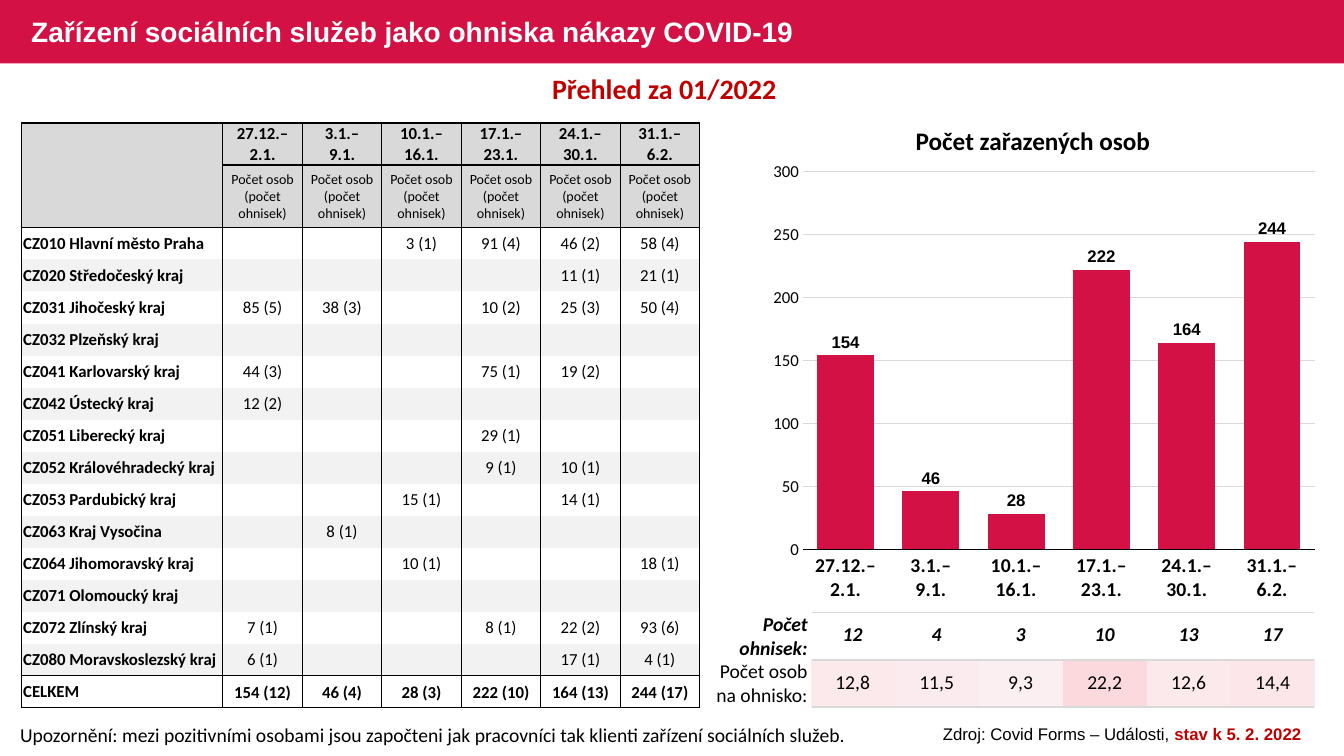
from lxml import etree
from pptx import Presentation
from pptx.chart.data import CategoryChartData
from pptx.dml.color import RGBColor
from pptx.enum.chart import XL_CHART_TYPE, XL_LABEL_POSITION, XL_TICK_MARK
from pptx.enum.shapes import MSO_SHAPE
from pptx.enum.text import MSO_ANCHOR, MSO_AUTO_SIZE, PP_ALIGN
from pptx.oxml import parse_xml
from pptx.oxml.ns import nsdecls, qn
from pptx.util import Inches, Pt

CRIMSON = RGBColor(0xD3, 0x11, 0x45)
DARK_RED = RGBColor(0xC0, 0x00, 0x00)
BLACK = RGBColor(0x00, 0x00, 0x00)
WHITE = RGBColor(0xFF, 0xFF, 0xFF)
HEADER_GRAY = RGBColor(0xD9, 0xD9, 0xD9)
BAND_GRAY = RGBColor(0xF2, 0xF2, 0xF2)
PINKS = [RGBColor.from_string(code) for code in
         ("FCE9EC", "FCEBEE", "FCEFF2", "FCD9DC", "FCE9EC", "FCE6E9")]

NO_STYLE = "{2D5ABB26-0587-4C30-8999-92F81FD0307C}"
SLIDE_WIDTH = 13.33
WEEKS = ["27.12.–\n2.1.", "3.1.–\n9.1.", "10.1.–\n16.1.",
         "17.1.–\n23.1.", "24.1.–\n30.1.", "31.1.–\n6.2."]
PERSONS = [154, 46, 28, 222, 164, 244]
OUTBREAKS = [12, 4, 3, 10, 13, 17]
PERSONS_PER_OUTBREAK = ["12,8", "11,5", "9,3", "22,2", "12,6", "14,4"]
REGIONS = [
    ("CZ010 Hlavní město Praha", "", "", "3 (1)", "91 (4)", "46 (2)", "58 (4)"),
    ("CZ020 Středočeský kraj", "", "", "", "", "11 (1)", "21 (1)"),
    ("CZ031 Jihočeský kraj", "85 (5)", "38 (3)", "", "10 (2)", "25 (3)", "50 (4)"),
    ("CZ032 Plzeňský kraj", "", "", "", "", "", ""),
    ("CZ041 Karlovarský kraj", "44 (3)", "", "", "75 (1)", "19 (2)", ""),
    ("CZ042 Ústecký kraj", "12 (2)", "", "", "", "", ""),
    ("CZ051 Liberecký kraj", "", "", "", "29 (1)", "", ""),
    ("CZ052 Královéhradecký kraj", "", "", "", "9 (1)", "10 (1)", ""),
    ("CZ053 Pardubický kraj", "", "", "15 (1)", "", "14 (1)", ""),
    ("CZ063 Kraj Vysočina", "", "8 (1)", "", "", "", ""),
    ("CZ064 Jihomoravský kraj", "", "", "10 (1)", "", "", "18 (1)"),
    ("CZ071 Olomoucký kraj", "", "", "", "", "", ""),
    ("CZ072 Zlínský kraj", "7 (1)", "", "", "8 (1)", "22 (2)", "93 (6)"),
    ("CZ080 Moravskoslezský kraj", "6 (1)", "", "", "", "17 (1)", "4 (1)"),
]


def style_font(font, size, color=BLACK, bold=False, italic=False, name="Calibri"):
    font.size, font.name = Pt(size), name
    font.bold, font.italic = bold, italic
    font.color.rgb = color


def add_runs(paragraph, text, size, **style):
    """Write text into the paragraph, one run for each line."""
    for index, line in enumerate(text.split("\n")):
        if index:
            paragraph.add_line_break()
        run = paragraph.add_run()
        run.text = line
        style_font(run.font, size, **style)


def add_text(slide, box, pieces, align=PP_ALIGN.LEFT):
    """Add a text box; each piece is (text, size, style)."""
    frame = slide.shapes.add_textbox(*map(Inches, box)).text_frame
    frame.word_wrap = True
    frame.auto_size = MSO_AUTO_SIZE.SHAPE_TO_FIT_TEXT
    paragraph = frame.paragraphs[0]
    paragraph.alignment = align
    for text, size, style in pieces:
        add_runs(paragraph, text, size, **style)


def add_plain_table(slide, box, column_widths, row_heights):
    frame = slide.shapes.add_table(len(row_heights), len(column_widths),
                                   *map(Inches, box))
    table = frame.table
    table.first_row = table.horz_banding = False
    table._tbl.tblPr.find(qn("a:tableStyleId")).text = NO_STYLE
    for column, width in zip(table.columns, column_widths):
        column.width = Inches(width)
    for row, height in zip(table.rows, row_heights):
        row.height = Inches(height)
    return table


def fill_cell(cell, text, size, align=PP_ALIGN.CENTER, fill=None, borders=None,
              margins=(0.01, 0.01, 0.01, 0), **style):
    """Write and format a cell; borders maps L, R, T, B to (colour, points)."""
    (cell.margin_left, cell.margin_top,
     cell.margin_right, cell.margin_bottom) = map(Inches, margins)
    cell.vertical_anchor = MSO_ANCHOR.MIDDLE
    paragraph = cell.text_frame.paragraphs[0]
    paragraph.alignment = align
    add_runs(paragraph, text, size, **style)
    if fill is None:
        cell.fill.background()
    else:
        cell.fill.solid()
        cell.fill.fore_color.rgb = fill
    for index, side in enumerate("LRTB"):
        color, points = (borders or {}).get(side, (None, 0))
        paint = (f'<a:solidFill><a:srgbClr val="{color}"/></a:solidFill>'
                 if points else "<a:noFill/>")
        cell._tc.tcPr.insert(index, parse_xml(
            f'<a:ln{side} {nsdecls("a")} w="{Pt(points)}">{paint}</a:ln{side}>'))


def add_title_band(slide, height):
    band = slide.shapes.add_shape(MSO_SHAPE.RECTANGLE, 0, 0,
                                  Inches(SLIDE_WIDTH), Inches(height))
    band.shadow.inherit = False
    band.fill.solid()
    band.fill.fore_color.rgb = CRIMSON
    band.line.fill.background()
    title = slide.shapes.title
    title.element.addprevious(band.element)
    title.left, title.top = Inches(0.21), Inches(0.02)
    title.width, title.height = Inches(8.13), Inches(height)
    frame = title.text_frame
    frame.auto_size = MSO_AUTO_SIZE.NONE
    frame.vertical_anchor = MSO_ANCHOR.MIDDLE
    paragraph = frame.paragraphs[0]
    paragraph.alignment = PP_ALIGN.LEFT
    paragraph.line_spacing = 0.9
    add_runs(paragraph, "Zařízení sociálních služeb jako ohniska nákazy COVID-19",
             20, color=WHITE, bold=True, name="Arial")


def add_region_table(slide, box):
    width, height = box[2:]
    header_heights = [0.41, 0.62]
    body_rows = len(REGIONS) + 1
    body_height = (height - sum(header_heights)) / body_rows
    table = add_plain_table(
        slide, box, [2] + [(width - 2) / len(WEEKS)] * len(WEEKS),
        header_heights + [body_height] * body_rows)
    line, thin = (BLACK, 1), (BLACK, 0.5)
    sides = {"L": line, "R": line}
    table.cell(0, 0).merge(table.cell(1, 0))
    fill_cell(table.cell(0, 0), "", 12, fill=HEADER_GRAY,
              borders={**sides, "T": line, "B": thin})
    for column, week in enumerate(WEEKS, 1):
        fill_cell(table.cell(0, column), week, 12, bold=True, fill=HEADER_GRAY,
                  borders={**sides, "T": line, "B": line})
        fill_cell(table.cell(1, column), "Počet osob (počet ohnisek)", 10,
                  fill=HEADER_GRAY, borders={**sides, "T": line, "B": thin})
    totals = [f"{persons} ({outbreaks})"
              for persons, outbreaks in zip(PERSONS, OUTBREAKS)]
    for index, values in enumerate(REGIONS + [("CELKEM", *totals)]):
        is_total = index == len(REGIONS)
        borders = dict(sides)
        if index == 0:
            borders["T"] = thin
        if is_total:
            borders["T"] = line
        if index >= len(REGIONS) - 1:
            borders["B"] = line
        for column, value in enumerate(values):
            label = {"align": PP_ALIGN.LEFT, "margins": (0.02, 0, 0.02, 0)}
            fill_cell(table.cell(index + 2, column), value, 12,
                      bold=is_total or column == 0,
                      fill=BAND_GRAY if index % 2 else None, borders=borders,
                      **(label if column == 0 else {}))


def add_persons_chart(slide, box):
    data = CategoryChartData()
    data.categories = WEEKS
    data.add_series("Series 1", PERSONS)
    chart = slide.shapes.add_chart(XL_CHART_TYPE.COLUMN_CLUSTERED,
                                   *map(Inches, box), data).chart
    chart.has_legend = chart.has_title = False
    style_font(chart.font, 14, bold=True, name="Arial")
    plot = chart.plots[0]
    plot.gap_width, plot.vary_by_categories = 50, False
    series = plot.series[0]
    series.format.fill.solid()
    series.format.fill.fore_color.rgb = CRIMSON
    labels = series.data_labels
    labels.show_value = True
    labels.position = XL_LABEL_POSITION.OUTSIDE_END
    style_font(labels.font, 12, bold=True, name="Arial")

    weeks, persons = chart.category_axis, chart.value_axis
    weeks.major_tick_mark = persons.major_tick_mark = XL_TICK_MARK.NONE
    style_font(weeks.tick_labels.font, 14, bold=True)
    weeks.format.line.color.rgb = BLACK
    weeks.format.line.width = Pt(0.75)
    style_font(persons.tick_labels.font, 12)
    persons.minimum_scale, persons.maximum_scale, persons.major_unit = 0, 300, 50
    persons.format.line.fill.background()
    persons.major_gridlines.format.line.color.rgb = HEADER_GRAY
    persons.major_gridlines.format.line.width = Pt(0.75)

    plot_area = chart._chartSpace.chart.plotArea
    for old_layout in plot_area.findall(qn("c:layout")):
        plot_area.remove(old_layout)
    layout = etree.Element(qn("c:layout"))
    manual = etree.SubElement(layout, qn("c:manualLayout"))
    for tag, value in (("layoutTarget", "inner"), ("xMode", "edge"),
                       ("yMode", "edge"), ("x", "0.072"), ("y", "0.042"),
                       ("w", "0.905"), ("h", "0.824")):
        etree.SubElement(manual, qn(f"c:{tag}")).set("val", value)
    plot_area.insert(0, layout)


def add_weekly_values(slide, box):
    width, height = box[2:]
    table = add_plain_table(slide, box, [width / len(WEEKS)] * len(WEEKS),
                            [height / 2] * 2)
    for column, outbreaks in enumerate(OUTBREAKS):
        fill_cell(table.cell(0, column), str(outbreaks), 14, bold=True, italic=True)
        fill_cell(table.cell(1, column), PERSONS_PER_OUTBREAK[column], 14,
                  fill=PINKS[column])


def add_summary_labels(slide, box):
    """Place the row labels and the ruled, empty cells that frame the values."""
    width, height = box[2:]
    label_width, ruled_columns = 1.01, 7
    table = add_plain_table(
        slide, box,
        [label_width] + [(width - label_width) / ruled_columns] * ruled_columns,
        [height / 2] * 2)
    rule = (HEADER_GRAY, 1)
    for row, label in enumerate(["Počet ohnisek:", "Počet osob na ohnisko:"]):
        fill_cell(table.cell(row, 0), label, 14, align=PP_ALIGN.RIGHT,
                  margins=(0.01, 0, 0.04, 0), bold=row == 0, italic=row == 0)
        for column in range(1, ruled_columns + 1):
            fill_cell(table.cell(row, column), "", 14,
                      borders={"T": rule, "B": rule})


def main():
    presentation = Presentation()
    presentation.slide_width = Inches(SLIDE_WIDTH)
    presentation.slide_height = Inches(7.5)
    slide = presentation.slides.add_slide(presentation.slide_layouts[5])
    add_title_band(slide, 0.63)
    add_weekly_values(slide, (8.04, 6.06, 5, 0.95))
    add_region_table(slide, (0.21, 1.22, 6.73, 5.8))
    add_text(slide, (0.1, 7.12, 8.52, 0.34),
             [("Upozornění: mezi pozitivními osobami jsou započteni jak pracovníci "
               "tak klienti zařízení sociálních služeb.", 14, {})])
    add_persons_chart(slide, (7.56, 1.51, 5.61, 4.55))
    add_text(slide, (7.56, 1.19, 5.37, 0.4),
             [("Počet zařazených osob", 18, {"bold": True})], PP_ALIGN.CENTER)
    add_summary_labels(slide, (7.04, 6.08, 5.99, 0.93))
    add_text(slide, (0.21, 0.66, 12.82, 0.44),
             [("Přehled za 01/2022 ", 20, {"color": DARK_RED, "bold": True})],
             PP_ALIGN.CENTER)
    add_text(slide, (9.03, 7.13, 4.2, 0.3),
             [("Zdroj: Covid Forms – Události, ", 12, {"name": "Arial"}),
              ("stav k 5. 2. 2022", 12,
               {"name": "Arial", "color": DARK_RED, "bold": True})],
             PP_ALIGN.CENTER)
    presentation.save("out.pptx")


if __name__ == "__main__":
    main()
